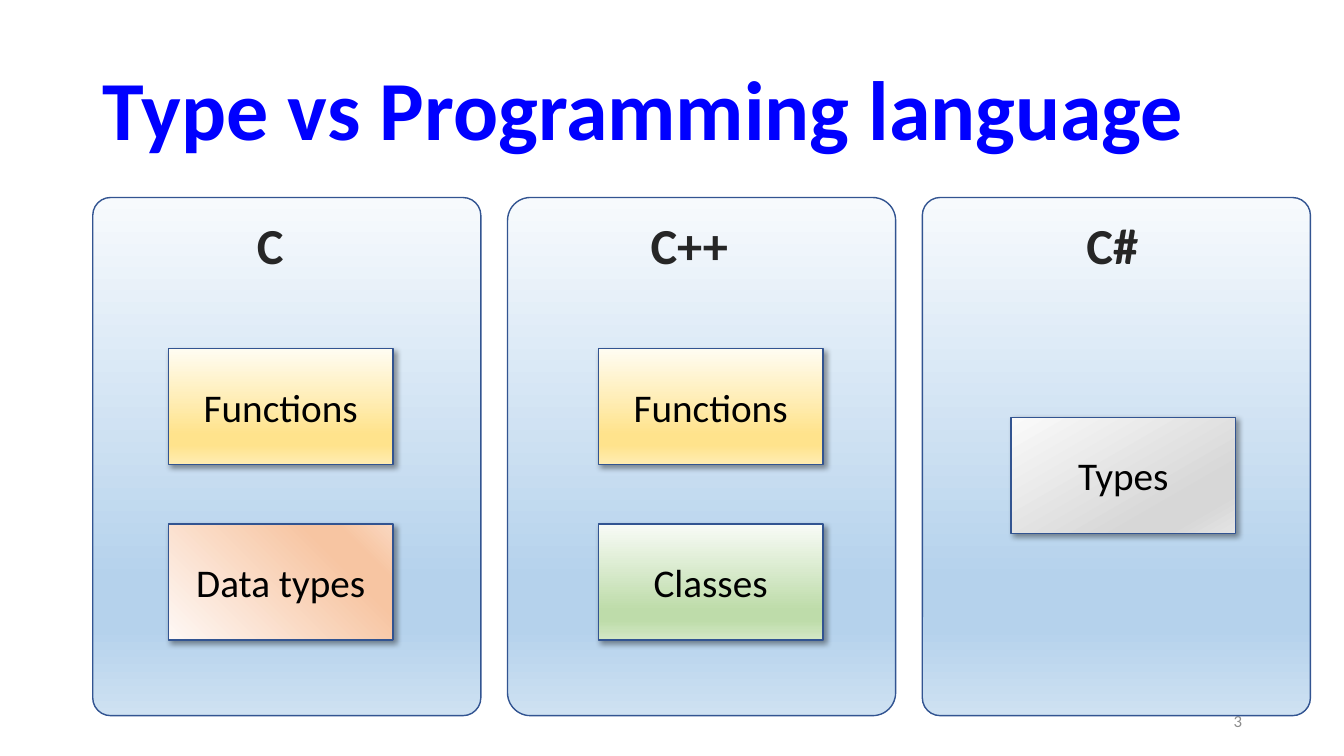
from pptx import Presentation
from pptx.dml.color import RGBColor
from pptx.enum.shapes import MSO_SHAPE
from pptx.enum.text import MSO_ANCHOR, MSO_AUTO_SIZE, PP_ALIGN
from pptx.oxml.ns import qn
from pptx.util import Inches, Pt
from lxml.etree import SubElement

# Content
TITLE = "Type vs Programming language"
PAGE_NUMBER = "3"
# Gradient colours (start, middle, end) and direction in degrees clockwise
BLUE = (("F7FAFD", "B5D2EC", "CEE1F2"), 90)
GOLD = (("FFFCF2", "FFE38C", "FFECB2"), 90)
ORANGE = (("FEF8F5", "F7C5A2", "FAD8C1"), 315)
GREEN = (("F8FBF6", "BEDCAA", "D4E8C6"), 90)
GRAY = (("FAFAFA", "D7D7D7", "E4E4E4"), 60)
# Language, corner rounding, heading inset and width, block inset, blocks
LANGUAGES = [
    ("C", 0.046, 1.53, 0.77, 0.75, [("Functions", GOLD), ("Data types", ORANGE)]),
    ("C++", 0.059, 1.32, 1.21, 0.9, [("Functions", GOLD), ("Classes", GREEN)]),
    ("C#", 0.046, 1.53, 0.77, 0.88, [("Types", GRAY)]),
]

# Grid, in inches
PANEL_LEFT, PANEL_TOP, PANEL_W, PANEL_H = 0.92, 1.96, 3.85, 5.14
PANEL_STEP = 4.115
HEADING_TOP, HEADING_H = 2.07, 0.71
BLOCK_W, BLOCK_H, BLOCK_STEP = 2.23, 1.15, 1.74
# Top of the first block, by number of blocks in the panel
FIRST_BLOCK_TOP = {1: 4.14, 2: 3.46}


def color(value):
    return RGBColor.from_string(value)


def box(*inches):
    return [Inches(value) for value in inches]


def write(frame, text, size, shade, bold=False, align=PP_ALIGN.LEFT):
    paragraph = frame.paragraphs[0]
    paragraph.alignment = align
    run = paragraph.add_run()
    run.text = text
    run.font.name = "Calibri"
    run.font.size = Pt(size)
    run.font.bold = bold
    run.font.color.rgb = color(shade)
    return run


def gradient_shape(preset, place, gradient):
    (start, middle, end), angle = gradient
    shape = slide.shapes.add_shape(preset, *box(*place))
    shape.shadow.inherit = False
    shape.line.color.rgb = color("325491")
    shape.line.width = Pt(1)
    shape.fill.gradient()
    shape.fill.gradient_angle = (360 - angle) % 360
    stops = shape._element.spPr.find(".//" + qn("a:gsLst"))
    for stop in list(stops):
        stops.remove(stop)
    for percent, shade in ((0, start), (74, middle), (83, middle), (100, end)):
        stop = SubElement(stops, qn("a:gs"), pos=str(percent * 1000))
        SubElement(stop, qn("a:srgbClr"), val=shade)
    return shape


def add_shadow(shape):
    effects = shape._element.spPr.find(qn("a:effectLst"))
    shadow = SubElement(effects, qn("a:outerShdw"), blurRad=str(Pt(4)),
                        dist=str(Pt(3)), dir=str(45 * 60000),
                        algn="tl", rotWithShape="0")
    black = SubElement(shadow, qn("a:srgbClr"), val="000000")
    SubElement(black, qn("a:alpha"), val="40000")


def outline_text(run, shade, width):
    properties = run.font._element
    line = SubElement(properties, qn("a:ln"), w=str(Pt(width)))
    fill = SubElement(line, qn("a:solidFill"))
    SubElement(fill, qn("a:srgbClr"), val=shade)
    properties.insert(0, line)


presentation = Presentation()
presentation.slide_width, presentation.slide_height = box(13.333, 7.5)
slide = presentation.slides.add_slide(presentation.slide_layouts[5])

# Title
title = slide.shapes.title
title.left, title.top, title.width, title.height = box(0.92, 0.4, 11.5, 1.45)
title.text_frame.vertical_anchor = MSO_ANCHOR.MIDDLE
title.text_frame.auto_size = MSO_AUTO_SIZE.NONE
write(title.text_frame, TITLE, 60, "0000FF", bold=True)
title.text_frame.paragraphs[0].line_spacing = 0.9

# Page number
number = slide.shapes.add_textbox(*box(9.42, 6.95, 3, 0.4)).text_frame
number.word_wrap = True
number.vertical_anchor = MSO_ANCHOR.MIDDLE
write(number, PAGE_NUMBER, 12, "8C8C8C", align=PP_ALIGN.RIGHT)

# One panel per language, with its heading and blocks
for column, (language, rounding, heading_inset, heading_w,
             block_inset, blocks) in enumerate(LANGUAGES):
    left = PANEL_LEFT + column * PANEL_STEP
    panel = gradient_shape(MSO_SHAPE.ROUNDED_RECTANGLE,
                           (left, PANEL_TOP, PANEL_W, PANEL_H), BLUE)
    panel.adjustments[0] = rounding

    heading = slide.shapes.add_textbox(
        *box(left + heading_inset, HEADING_TOP, heading_w, HEADING_H)).text_frame
    heading.word_wrap = True
    heading.auto_size = MSO_AUTO_SIZE.SHAPE_TO_FIT_TEXT
    outline_text(write(heading, language, 36, "262626", bold=True), "FFFFFF", 1.06)

    for row, (label, gradient) in enumerate(blocks):
        top = FIRST_BLOCK_TOP[len(blocks)] + row * BLOCK_STEP
        block = gradient_shape(MSO_SHAPE.RECTANGLE,
                               (left + block_inset, top, BLOCK_W, BLOCK_H), gradient)
        add_shadow(block)
        block.text_frame.vertical_anchor = MSO_ANCHOR.MIDDLE
        write(block.text_frame, label, 28, "000000", align=PP_ALIGN.CENTER)

presentation.save("out.pptx")
